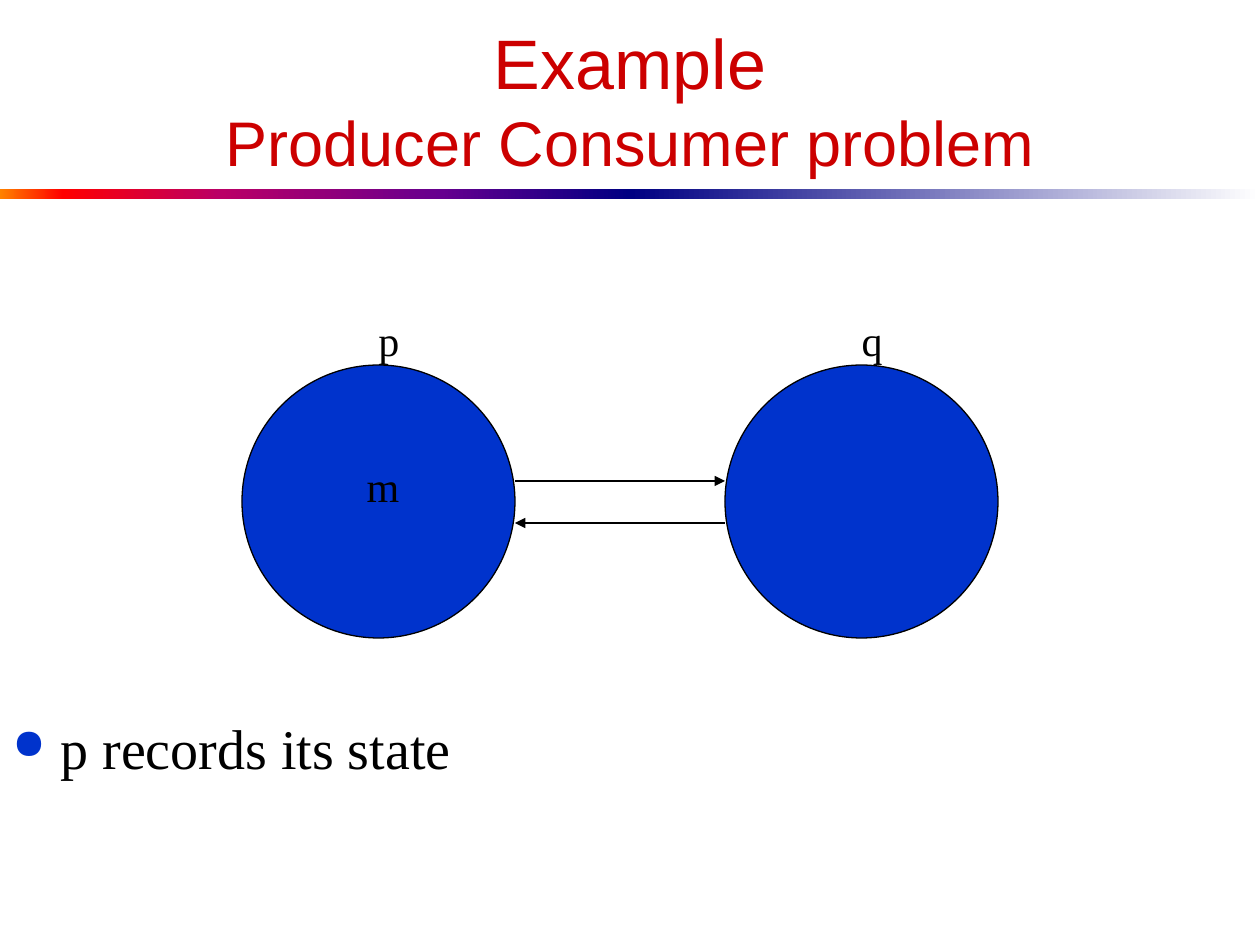
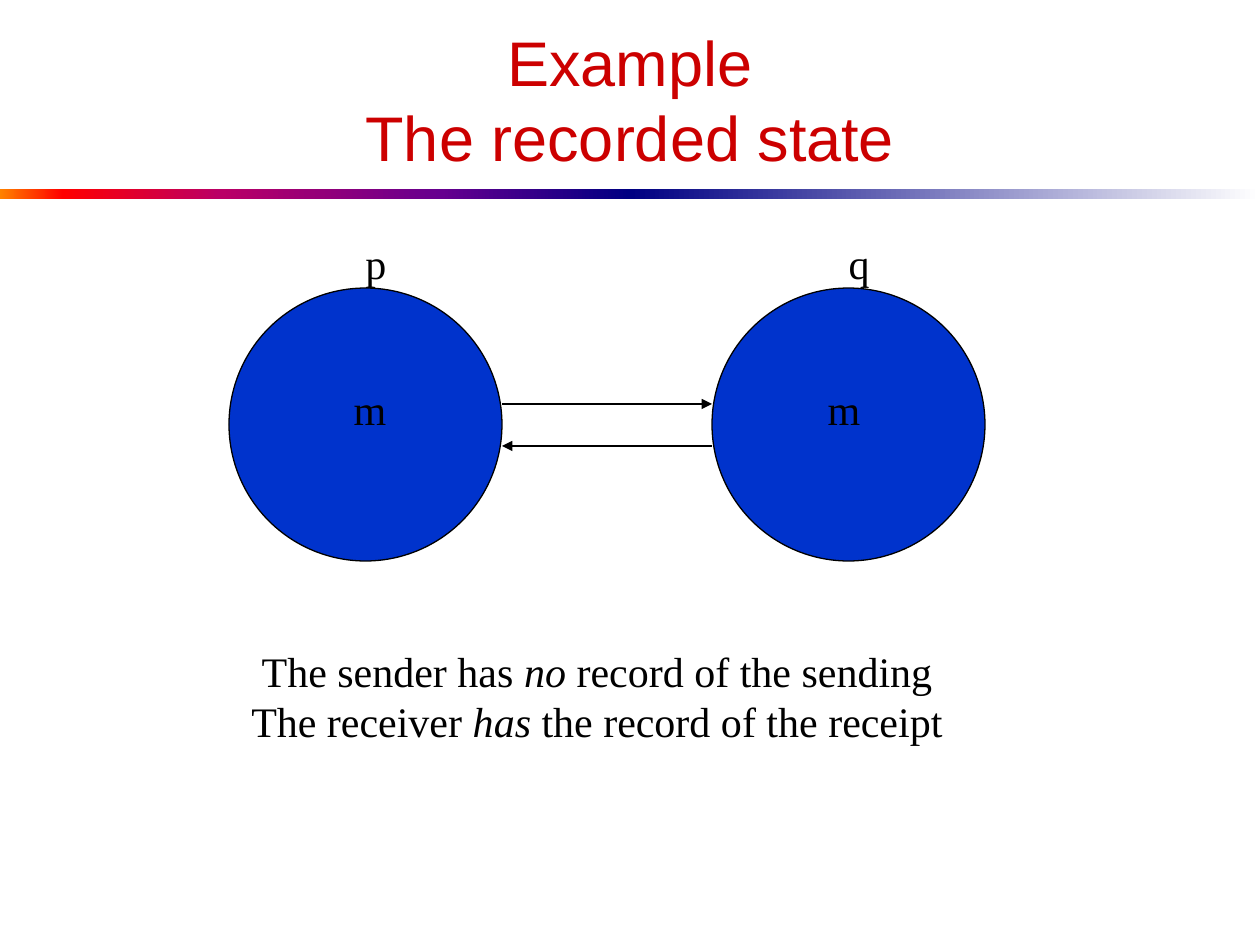
from lxml.etree import SubElement
from pptx import Presentation
from pptx.dml.color import RGBColor
from pptx.enum.shapes import MSO_CONNECTOR, MSO_SHAPE
from pptx.enum.text import MSO_ANCHOR, PP_ALIGN
from pptx.oxml.ns import qn
from pptx.util import Pt

PX = 914400 / 126
WIDTH, HEIGHT = 1260, 945
RED = RGBColor(0xCC, 0x00, 0x00)
BLUE = RGBColor(0x00, 0x33, 0xCC)
BLACK = RGBColor(0x00, 0x00, 0x00)
NAVY = RGBColor(0x00, 0x00, 0x82)
WARM = [(0, RGBColor(0xFF, 0x82, 0x00)), (10, RGBColor(0xFF, 0x00, 0x00)),
        (35, RGBColor(0xBA, 0x00, 0x66)), (70, RGBColor(0x66, 0x00, 0x8F)),
        (100, NAVY)]
COOL = [(0, NAVY), (100, RGBColor(0xFF, 0xFF, 0xFF))]
HEAD, BODY = "Arial", "Times New Roman"


def px(*values):
    return [round(value * PX) for value in values]


def style(para, size, name=BODY, color=BLACK):
    para.font.size = Pt(size)
    para.font.name = name
    para.font.color.rgb = color


def add_text(slide, box, wrap=True):
    frame = slide.shapes.add_textbox(*px(*box)).text_frame
    frame.word_wrap = wrap
    return frame


def add_fade(slide, box, stops):
    """Add a bar that runs through the colour stops from left to right."""
    bar = slide.shapes.add_shape(MSO_SHAPE.RECTANGLE, *px(*box))
    bar.shadow.inherit = False
    bar.line.fill.background()
    bar.fill.gradient()
    bar.fill.gradient_angle = 0
    ramp = bar.element.spPr.find(".//" + qn("a:gsLst"))
    for stop in list(ramp):
        ramp.remove(stop)
    for part, color in stops:
        stop = SubElement(ramp, qn("a:gs"), pos=str(part * 1000))
        SubElement(stop, qn("a:srgbClr"), val=str(color))


def add_band(slide, box):
    left, top, width, height = box
    half = width // 2
    for step, stops in enumerate((WARM, COOL)):
        add_fade(slide, (left + step * half, top, half, height), stops)


def add_title(slide, box, lines):
    """Add a title of (text, size) lines."""
    frame = add_text(slide, box)
    frame.vertical_anchor = MSO_ANCHOR.MIDDLE
    para = frame.paragraphs[0]
    para.alignment = PP_ALIGN.CENTER
    style(para, lines[0][1], HEAD, RED)
    for row, (text, size) in enumerate(lines):
        if row:
            para.add_line_break()
        run = para.add_run()
        run.text = text
        run.font.size = Pt(size)


def add_label(slide, mid, top, text):
    width = 80
    frame = add_text(slide, (mid - width // 2, top, width, 63), wrap=False)
    para = frame.paragraphs[0]
    para.text = text
    para.alignment = PP_ALIGN.CENTER
    style(para, 24)


def add_arrow(slide, start, end):
    arrow = slide.shapes.add_connector(
        MSO_CONNECTOR.STRAIGHT, *px(*start, *end))
    arrow.line.color.rgb = BLACK
    arrow.line.width = Pt(0.75)
    SubElement(arrow.line._get_or_add_ln(), qn("a:tailEnd"), type="triangle")
    SubElement(arrow.element.spPr, qn("a:effectLst"))


def add_nodes(slide, box, marks):
    """Add processes p and q and their channels; marks are (offset, text)."""
    left, top, width, size = box
    right = left + width - size
    for edge in (left, right):
        node = slide.shapes.add_shape(
            MSO_SHAPE.OVAL, *px(edge, top, size, size))
        node.shadow.inherit = False
        node.fill.solid()
        node.fill.fore_color.rgb = BLUE
        node.line.color.rgb = BLACK
        node.line.width = Pt(0.75)
    send, reply = top + 116, top + 158
    add_arrow(slide, (right, reply), (left + size, reply))
    add_arrow(slide, (left + size, send), (right, send))
    for edge, name in ((left, "p"), (right, "q")):
        add_label(slide, edge + 147, top - 57, name)
    for shift, text in marks:
        add_label(slide, left + shift, top + 89, text)


def add_bullet(slide, box, text):
    para = add_text(slide, box).paragraphs[0]
    para.text = text
    para.space_before = Pt(6)
    props = para._p.get_or_add_pPr()
    indent = px(48)[0]
    props.set("marL", str(indent))
    props.set("indent", str(-indent))
    tint = SubElement(props, qn("a:buClr"))
    SubElement(tint, qn("a:srgbClr"), val=str(BLUE))
    SubElement(props, qn("a:buSzPct"), val="75000")
    SubElement(props, qn("a:buChar"), char="●")
    style(para, 32)


def add_notes(slide, box, lines):
    """Add centred lines, each (before, stressed word, after)."""
    frame = add_text(slide, box)
    for row, parts in enumerate(lines):
        para = frame.add_paragraph() if row else frame.paragraphs[0]
        para.alignment = PP_ALIGN.CENTER
        style(para, 24)
        for spot, text in enumerate(parts):
            run = para.add_run()
            run.text = text
            run.font.italic = spot == 1


def add_base(deck, lines):
    slide = deck.slides.add_slide(deck.slide_layouts[6])
    add_band(slide, (0, 189, WIDTH, 10))
    add_title(slide, (63, 31, 1134, 136), lines)
    return slide


def main():
    deck = Presentation()
    deck.slide_width, deck.slide_height = px(WIDTH, HEIGHT)

    slide = add_base(deck, [("Example", 40), ("Producer Consumer problem", 36)])
    add_bullet(slide, (0, 707, WIDTH, 117), "p records its state")
    add_nodes(slide, (242, 365, 756, 273), [(141, "m")])

    slide = add_base(deck, [("Example", 36), ("The recorded state", 36)])
    add_nodes(slide, (229, 288, 756, 273), [(141, "m"), (615, "m")])
    add_notes(slide, (100, 639, 994, 113), [
        ("The sender has ", "no", " record of the sending"),
        ("The receiver ", "has", " the record of the receipt")])

    deck.save("out.pptx")


if __name__ == "__main__":
    main()
